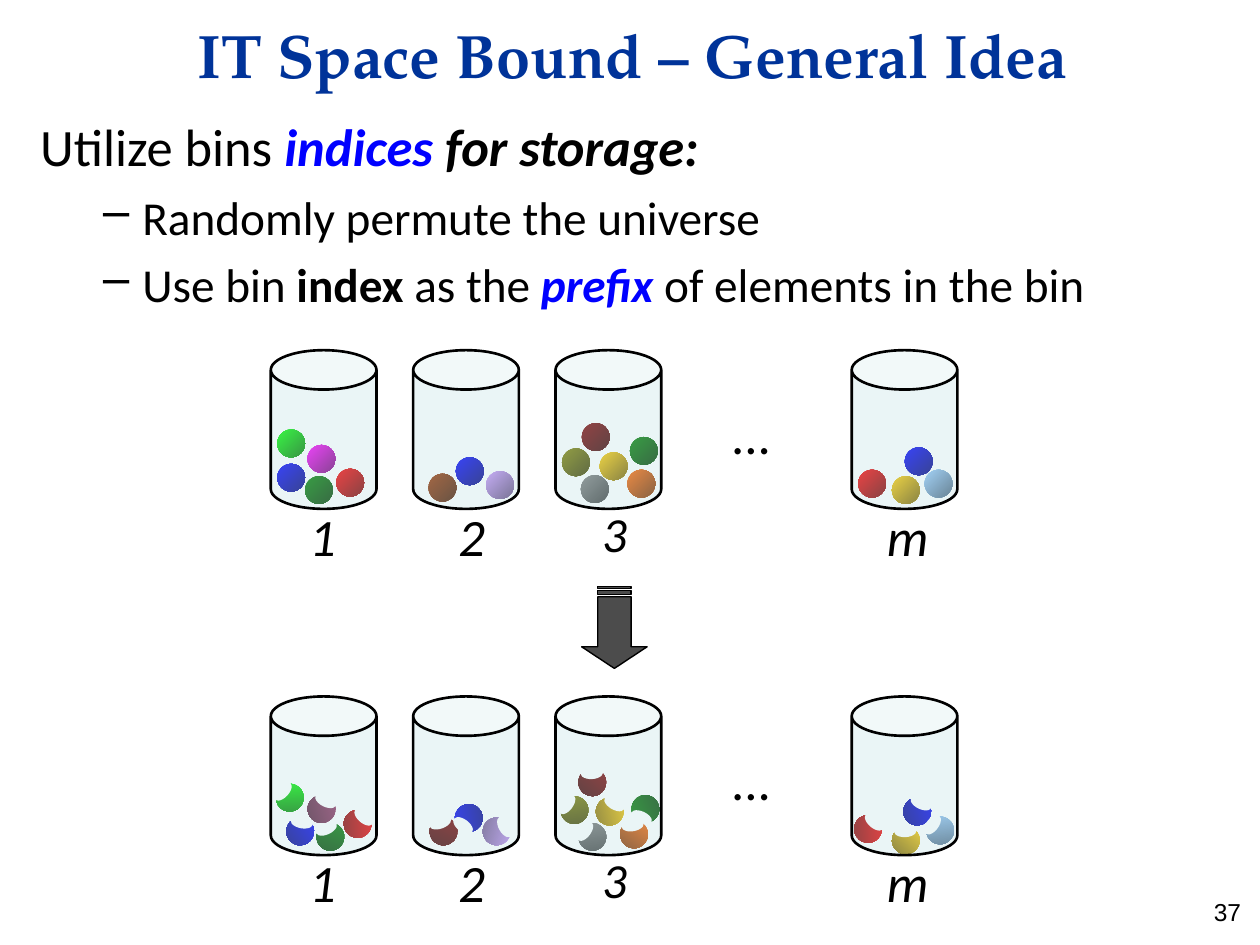
from dataclasses import dataclass
from math import cos, radians, sin

from lxml.etree import SubElement
from pptx import Presentation
from pptx.dml.color import RGBColor as Rgb
from pptx.enum.shapes import MSO_SHAPE as Kind
from pptx.enum.text import MSO_ANCHOR as Anchor, MSO_AUTO_SIZE as Fit, PP_ALIGN as Align
from pptx.oxml.ns import qn
from pptx.util import Cm, Pt


@dataclass(frozen=True)
class Theme:
    title: str = "003399"
    text: str = "000000"
    accent: str = "0000FF"
    paper: str = "FFFFFF"
    glass: str = "BBE0E3"
    blue: str = "0000FF"
    sky: str = "99CCFF"
    gold: str = "FFCC00"
    red: str = "FF0000"
    orange: str = "FF6600"
    grey: str = "808080"
    maroon: str = "800000"
    olive: str = "808000"
    green: str = "008000"
    lime: str = "00FF00"
    brown: str = "993300"
    plum: str = "993366"
    lilac: str = "CC99FF"
    magenta: str = "FF00FF"
    serif: str = "TeX Gyre Pagella"
    sans: str = "Calibri"
    plain: str = "Arial"
    title_size: int = 35
    large: int = 30
    label: int = 28
    medium: int = 27
    small: int = 14


theme = Theme()


def add_text(shapes, frame, paragraphs, font, align=Align.LEFT, **frame_format):
    """Paragraphs are lists of (text, font changes) spans."""
    box = shapes.add_textbox(*(Cm(value) for value in frame))
    for name, value in {"word_wrap": True, **frame_format}.items():
        setattr(box.text_frame, name, value)
    for number, spans in enumerate(paragraphs):
        para = box.text_frame.paragraphs[0] if number == 0 else box.text_frame.add_paragraph()
        para.alignment = align
        for text, changes in spans:
            span = para.add_run()
            span.text = text
            values = {"color": theme.text, **font, **changes}
            span.font.color.rgb = Rgb.from_string(values.pop("color"))
            for name, value in values.items():
                setattr(span.font, name, value)
    return box


def add_solid(shapes, kind, frame, colour, opacity=100, line=None, rotation=0):
    shape = shapes.add_shape(kind, *(Cm(value) for value in frame))
    shape.shadow.inherit = False
    shape.rotation = rotation
    shape.fill.solid()
    shape.fill.fore_color.rgb = Rgb.from_string(colour)
    if opacity < 100:
        tint = shape._element.spPr.find(qn("a:solidFill"))[0]
        SubElement(tint, qn("a:alpha"), val=str(opacity * 1000))
    if line:
        shape.line.color.rgb = Rgb.from_string(theme.text)
        shape.line.width = Pt(line)
    else:
        shape.line.fill.background()
    return shape


deck = Presentation()
deck.slide_width, deck.slide_height = Cm(25.4), Cm(19.05)
page = deck.slides.add_slide(deck.slide_layouts[6])

# Slide number and title
add_text(page.shapes, (19.35, 17.96, 5.92, 0.71), [[("37", {})]],
         {"name": theme.plain, "size": Pt(theme.small)}, Align.RIGHT)
add_text(page.shapes, (2.77, 0.13, 19.96, 1.9), [[("IT Space Bound – General Idea", {})]],
         {"name": theme.serif, "size": Pt(theme.title_size), "bold": True, "color": theme.title},
         Align.CENTER, vertical_anchor=Anchor.MIDDLE)

# Body text
strong = {"bold": True, "italic": True}
marked = {**strong, "color": theme.accent}
lead = {"size": Pt(theme.large)}
body = add_text(page.shapes, (0.56, 2.18, 22.43, 4.42), [
    [("Utilize bins ", lead), ("indices ", {**lead, **marked}), ("for storage:", {**lead, **strong})],
    [("Randomly permute the universe", {})],
    [("Use bin ", {}), ("index ", {"bold": True}), ("as the ", {}), ("prefix", marked),
     (" of elements in the bin", {})],
], {"name": theme.sans, "size": Pt(theme.medium)})
for number, para in enumerate(body.text_frame.paragraphs):
    margin, hanging = (2.06, 0.79) if number else (0.97, 0.97)
    settings = para._p.get_or_add_pPr()
    settings.set("marL", str(Cm(margin)))
    settings.set("indent", str(-Cm(hanging)))
    if number:
        para.level = 1
        para.space_before = Pt(6)
        SubElement(settings, qn("a:buChar"), char="–")

# Balls as (colour, left, top, angle of the bite or None), one list for each row
whole_balls = [
    (theme.sky, 18.64, 9.47), (theme.red, 17.3, 9.47), (theme.gold, 17.98, 9.6),
    (theme.blue, 18.24, 9.02), (theme.orange, 12.65, 9.47), (theme.grey, 11.71, 9.58),
    (theme.maroon, 11.73, 8.53), (theme.olive, 11.33, 9.04), (theme.gold, 12.09, 9.12),
    (theme.green, 12.7, 8.81), (theme.brown, 8.64, 9.55), (theme.lilac, 9.8, 9.5),
    (theme.blue, 9.19, 9.22), (theme.red, 6.78, 9.45), (theme.blue, 5.59, 9.35),
    (theme.green, 6.15, 9.6), (theme.lime, 5.59, 8.66), (theme.magenta, 6.2, 8.97),
]
bitten_balls = [
    (theme.blue, 18.21, 16.08, 115.1), (theme.sky, 18.67, 16.46, 36.8),
    (theme.gold, 17.98, 16.66, 86.8), (theme.red, 17.22, 16.43, 131),
    (theme.gold, 12.01, 16.08, 120.4), (theme.green, 12.73, 16.03, 295),
    (theme.maroon, 11.66, 15.49, 86.8), (theme.olive, 11.3, 16.05, 36.8),
    (theme.grey, 11.66, 16.59, 36.8), (theme.orange, 12.5, 16.54, 81.2),
    (theme.lime, 5.56, 15.8, 42.5), (theme.green, 6.38, 16.59, 64.8),
    (theme.plum, 6.2, 16.03, 116.6), (theme.red, 6.93, 16.33, 131),
    (theme.blue, 5.77, 16.48, 100.6), (theme.maroon, 8.66, 16.48, 70),
    (theme.lilac, 9.73, 16.48, 151), (theme.blue, 9.17, 16.21, 306.9),
]
ball_size, bite_width, bite_height, bite_reach = 0.56, 0.25, 0.46, 0.19
shade = 0.463

# Labels as (text, left, top, width, size, italic), placed for the upper row
labels = [
    ("...", 14.2, 7.98, 1.88, theme.large, False),
    ("1", 5.99, 10.03, 0.89, theme.large, True),
    ("m", 17.63, 10.03, 1.3, theme.large, True),
    ("3", 11.89, 10.03, 0.89, theme.label, True),
    ("2", 8.99, 10.03, 0.89, theme.large, True),
]

# Two rows of bins
for balls, drop in ((whole_balls, 0), (bitten_balls, 6.98)):
    row = page.shapes.add_group_shape().shapes
    for colour, left, top, *bite in balls:
        angle = bite[0] if bite else 0
        ball = add_solid(row, Kind.OVAL, (left, top, ball_size, ball_size), colour, rotation=angle)
        ball.fill.gradient()
        ball.fill.gradient_angle = 315
        light = Rgb.from_string(colour)
        dark = Rgb(*(round(channel * shade) for channel in light))
        for stop, tone, position in zip(ball.fill.gradient_stops, (light, dark), (0, 1)):
            stop.color.rgb = tone
            stop.position = position
        if bite:
            middle_x = left + ball_size / 2 - bite_reach * cos(radians(angle))
            middle_y = top + ball_size / 2 - bite_reach * sin(radians(angle))
            add_solid(row, Kind.OVAL, (middle_x - bite_width / 2, middle_y - bite_height / 2,
                                       bite_width, bite_height), theme.paper, rotation=angle)
    for left in (5.46, 8.33, 11.2, 17.17):
        bin_can = add_solid(row, Kind.CAN, (left, 7.06 + drop, 2.13, 3.2), theme.glass, 30, 1.5)
        bin_can.adjustments[0] = 0.373
    for text, left, top, width, size, italic in labels:
        add_text(row, (left, top + drop, width, 1.52), [[(text, {})]],
                 {"name": theme.sans, "size": Pt(size), "italic": italic}, Align.CENTER,
                 word_wrap=False, auto_size=Fit.SHAPE_TO_FIT_TEXT)

# Arrow between the rows
arrow = add_solid(page.shapes, Kind.STRIPED_RIGHT_ARROW, (11.56, 11.99, 1.65, 1.32),
                  theme.text, 70, 0.8, 90)
arrow.adjustments[0], arrow.adjustments[1] = 0.51, 0.33

deck.save("out.pptx")
